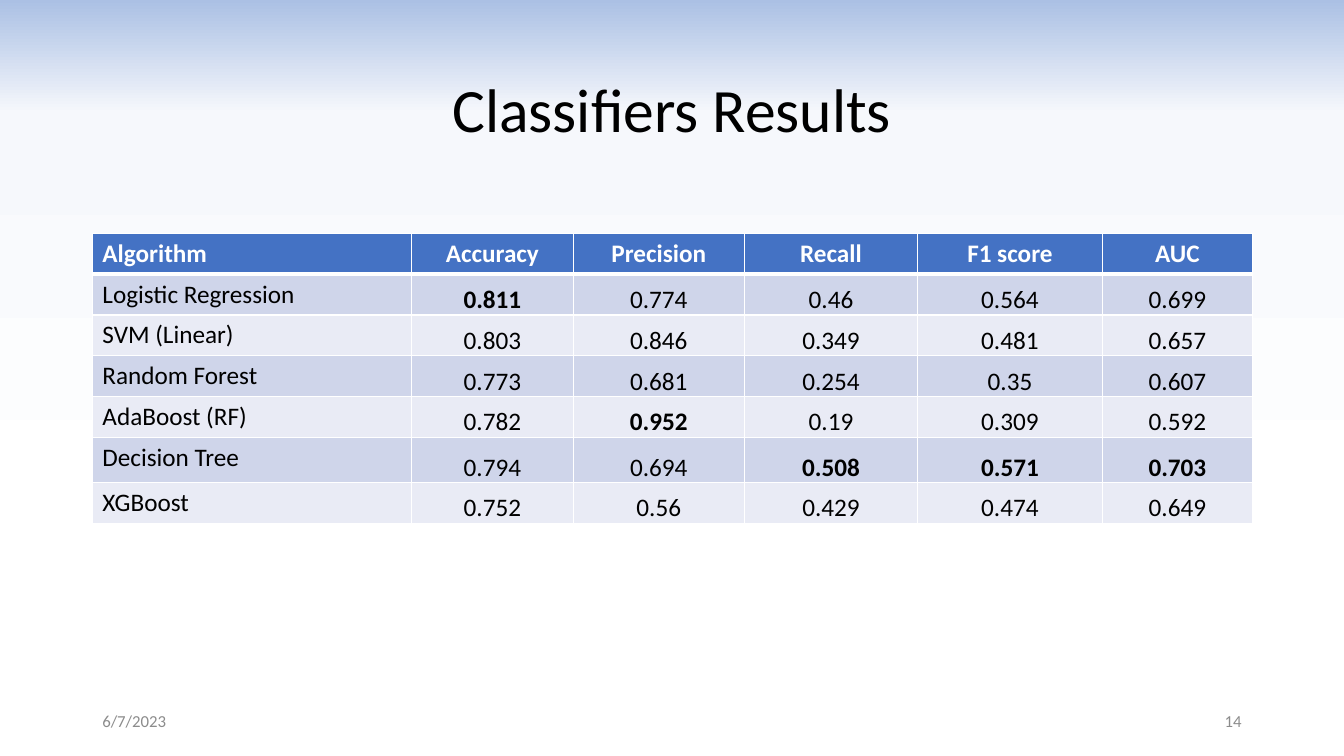
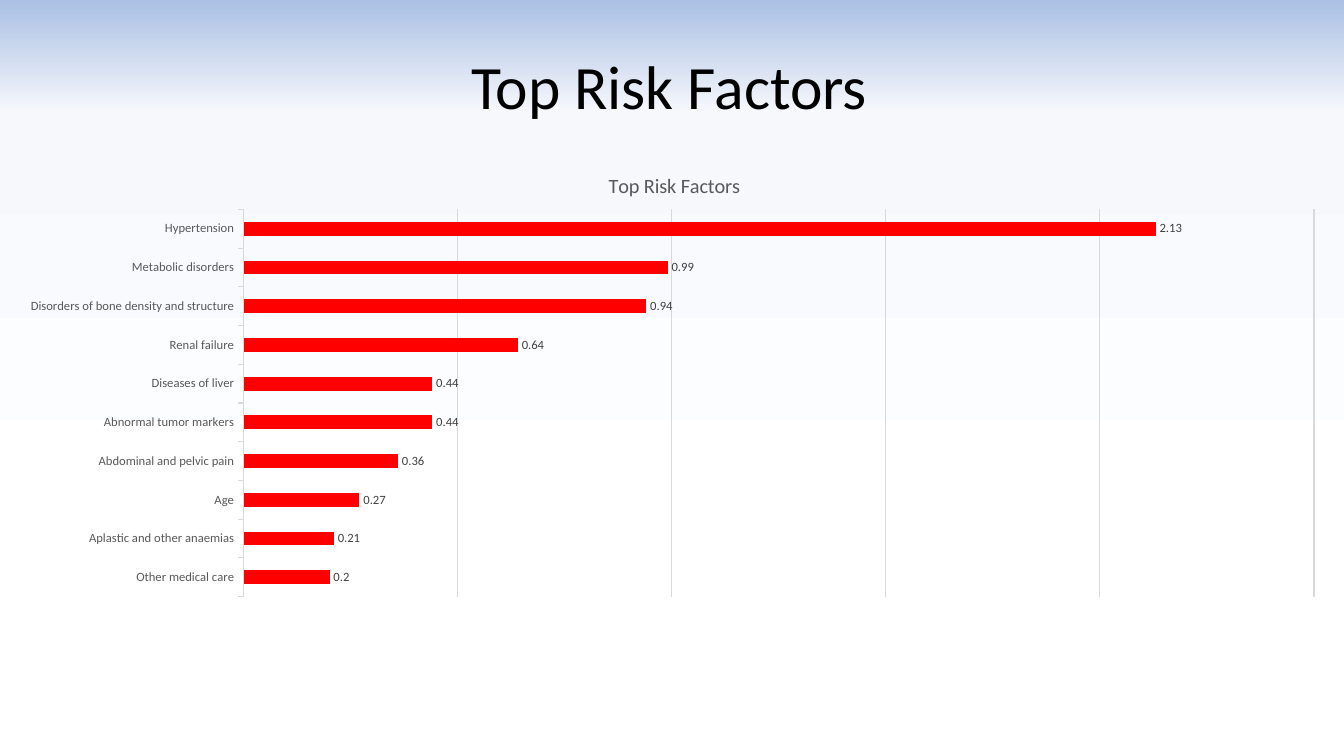
from dataclasses import dataclass

from lxml import etree
from pptx import Presentation
from pptx import util as u
from pptx.chart.data import CategoryChartData
from pptx.dml.color import RGBColor
from pptx.enum import chart as ch
from pptx.enum import text as t
from pptx.oxml.ns import qn

PX = 9525  # EMU in one px
FONT = "Calibri"

BLACK = RGBColor(0x00, 0x00, 0x00)
WHITE = RGBColor(0xFF, 0xFF, 0xFF)
FOOTER_GREY = RGBColor(0x8C, 0x8C, 0x8C)
AXIS_GREY = RGBColor(0x59, 0x59, 0x59)
LABEL_GREY = RGBColor(0x40, 0x40, 0x40)
GRID_GREY = RGBColor(0xD9, 0xD9, 0xD9)
BAR_RED = RGBColor(0xFF, 0x00, 0x00)
HEADER_BLUE = RGBColor(0x44, 0x72, 0xC4)
BAND_DARK = RGBColor(0xCF, 0xD5, 0xEA)
BAND_LIGHT = RGBColor(0xE9, 0xEB, 0xF5)
SKY = RGBColor(0xAB, 0xC0, 0xE4)
HAZE = RGBColor(0xF6, 0xF8, 0xFC)
BACKGROUND_STOPS = ((0, SKY), (15, HAZE), (69, WHITE))

LEFT, CENTER, RIGHT = t.PP_ALIGN.LEFT, t.PP_ALIGN.CENTER, t.PP_ALIGN.RIGHT
TOP, MIDDLE, BOTTOM = t.MSO_ANCHOR.TOP, t.MSO_ANCHOR.MIDDLE, t.MSO_ANCHOR.BOTTOM


@dataclass(frozen=True)
class Box:
    x: int
    y: int
    w: int
    h: int

    def emu(self) -> tuple[int, int, int, int]:
        return self.x * PX, self.y * PX, self.w * PX, self.h * PX


@dataclass(frozen=True)
class Style:
    size: float
    color: RGBColor
    bold: bool = False

    def apply(self, font) -> None:
        font.name, font.size, font.bold = FONT, u.Pt(self.size), self.bold
        font.color.rgb = self.color


@dataclass(frozen=True)
class Result:
    algorithm: str
    scores: tuple[str, ...]
    best: tuple[int, ...] = ()  # positions of the scores in bold
    height: int = 39


@dataclass(frozen=True)
class RiskFactor:
    name: str
    weight: float


TITLE = Style(44, BLACK)
FOOTER = Style(12, FOOTER_GREY)

HEADINGS = ("Algorithm", "Accuracy", "Precision", "Recall", "F1 score", "AUC")
COLUMN_WIDTHS = (304, 154, 163, 165, 176, 143)
RESULTS = (
    Result("Logistic Regression", ("0.811", "0.774", "0.46", "0.564", "0.699"), (0,)),
    Result("SVM (Linear)", ("0.803", "0.846", "0.349", "0.481", "0.657")),
    Result("Random Forest", ("0.773", "0.681", "0.254", "0.35", "0.607")),
    Result("AdaBoost (RF)", ("0.782", "0.952", "0.19", "0.309", "0.592"), (1,)),
    Result("Decision Tree", ("0.794", "0.694", "0.508", "0.571", "0.703"), (2, 3, 4), 43),
    Result("XGBoost", ("0.752", "0.56", "0.429", "0.474", "0.649")),
)
RISK_FACTORS = (
    RiskFactor("Hypertension", 2.13),
    RiskFactor("Metabolic disorders", 0.99),
    RiskFactor("Disorders of bone density and structure", 0.94),
    RiskFactor("Renal failure", 0.64),
    RiskFactor("Diseases of liver", 0.44),
    RiskFactor("Abnormal tumor markers", 0.44),
    RiskFactor("Abdominal and pelvic pain", 0.36),
    RiskFactor("Age", 0.27),
    RiskFactor("Aplastic and other anaemias", 0.21),
    RiskFactor("Other medical care", 0.2),
)


def set_background(master) -> None:
    fill = master.background.fill
    fill.gradient()
    fill.gradient_angle = 270
    stops = next(master.element.iter(qn("a:gsLst")))
    for stop in list(stops):
        stops.remove(stop)
    for percent, color in BACKGROUND_STOPS:
        stop = etree.SubElement(stops, qn("a:gs"), pos=str(percent * 1000))
        etree.SubElement(stop, qn("a:srgbClr"), val=str(color))


def write(tf, text: str, style: Style, align=LEFT):
    p = tf.paragraphs[0]
    p.alignment = align
    r = p.add_run()
    r.text = text
    style.apply(r.font)
    return p


def add_text(slide, box: Box, text: str, style: Style, align=LEFT, anchor=MIDDLE):
    tf = slide.shapes.add_textbox(*box.emu()).text_frame
    tf.word_wrap = True
    tf.vertical_anchor = anchor
    return write(tf, text, style, align)


def set_borders(cell, top: int = 1, bottom: int = 1) -> None:
    """Draw white borders, with widths in points."""
    tc_pr = cell._tc.get_or_add_tcPr()
    for side, width in (("L", 1), ("R", 1), ("T", top), ("B", bottom)):
        ln = etree.SubElement(tc_pr, qn(f"a:ln{side}"), w=str(u.Pt(width)))
        fill = etree.SubElement(ln, qn("a:solidFill"))
        etree.SubElement(fill, qn("a:srgbClr"), val=str(WHITE))


def fill_cell(cell, text: str, style: Style, color: RGBColor, align) -> None:
    cell.fill.solid()
    cell.fill.fore_color.rgb = color
    write(cell.text_frame, text, style, align)


def add_results_table(slide, x: int, y: int) -> None:
    heights = (39, *(result.height for result in RESULTS))
    box = Box(x, y, sum(COLUMN_WIDTHS), sum(heights))
    table = slide.shapes.add_table(len(heights), len(HEADINGS), *box.emu()).table
    for column, width in zip(table.columns, COLUMN_WIDTHS):
        column.width = width * PX
    for row, height in zip(table.rows, heights):
        row.height = height * PX

    for i, heading in enumerate(HEADINGS):
        cell = table.cell(0, i)
        set_borders(cell, bottom=3)
        fill_cell(cell, heading, Style(18, WHITE, True), HEADER_BLUE, CENTER if i else LEFT)

    for j, result in enumerate(RESULTS, 1):
        color = BAND_DARK if j % 2 else BAND_LIGHT
        for i, text in enumerate((result.algorithm, *result.scores)):
            cell = table.cell(j, i)
            set_borders(cell, top=3 if j == 1 else 1)
            style = Style(18, BLACK, i - 1 in result.best)
            fill_cell(cell, text, style, color, CENTER if i else LEFT)
            if i:
                cell.vertical_anchor = BOTTOM
                cell.margin_left = cell.margin_right = cell.margin_top = PX
                cell.margin_bottom = 0


def place(chart, name: str, **fractions: float) -> None:
    """Fix the title or the plot area at fractions of the chart's size."""
    parent = chart.element.find(".//" + qn(f"c:{name}"))
    for old in parent.findall(qn("c:layout")):
        parent.remove(old)
    layout = etree.Element(qn("c:layout"))
    manual = etree.SubElement(layout, qn("c:manualLayout"))
    if name == "plotArea":
        etree.SubElement(manual, qn("c:layoutTarget"), val="inner")
    for key in ("x", "y"):
        etree.SubElement(manual, qn(f"c:{key}Mode"), val="edge")
    for key, value in fractions.items():
        etree.SubElement(manual, qn(f"c:{key}"), val=str(value))
    parent.insert(1 if name == "title" else 0, layout)


def style_line(line) -> None:
    line.color.rgb = GRID_GREY
    line.width = u.Pt(0.75)


def add_risk_chart(slide, box: Box) -> None:
    data = CategoryChartData()
    data.categories = [factor.name for factor in RISK_FACTORS]
    data.add_series("Series 1", [factor.weight for factor in RISK_FACTORS])
    chart = slide.shapes.add_chart(ch.XL_CHART_TYPE.BAR_CLUSTERED, *box.emu(), data).chart
    Style(10, BLACK).apply(chart.font)
    chart.has_legend = False
    chart.has_title = True
    write(chart.chart_title.text_frame, "Top Risk Factors", Style(14.5, AXIS_GREY), CENTER)
    place(chart, "title", x=0.45, y=0.04)
    place(chart, "plotArea", x=0.18, y=0.13, w=0.8, h=0.85)

    names = chart.category_axis
    names.reverse_order = True
    names.major_tick_mark = ch.XL_TICK_MARK.OUTSIDE
    Style(9, AXIS_GREY).apply(names.tick_labels.font)
    style_line(names.format.line)

    weights = chart.value_axis
    weights.minimum_scale, weights.maximum_scale, weights.major_unit = 0, 2.5, 0.5
    weights.has_major_gridlines = True
    style_line(weights.major_gridlines.format.line)
    weights.visible = False

    plot = chart.plots[0]
    plot.gap_width = 182
    plot.vary_by_categories = False
    bars = plot.series[0]
    bars.format.fill.solid()
    bars.format.fill.fore_color.rgb = BAR_RED
    labels = bars.data_labels
    labels.show_value = True
    labels.position = ch.XL_LABEL_POSITION.OUTSIDE_END
    Style(9, LABEL_GREY).apply(labels.font)


def build_results(slide) -> None:
    title = add_text(slide, Box(88, 38, 1104, 139), "Classifiers Results", TITLE, CENTER)
    title.line_spacing = 0.9
    add_text(slide, Box(88, 667, 288, 38), "6/7/2023", FOOTER)
    add_text(slide, Box(904, 667, 288, 38), "14", FOOTER, RIGHT)
    add_results_table(slide, 88, 222)


def build_risk_factors(slide) -> None:
    add_risk_chart(slide, Box(3, 143, 1274, 434))
    add_text(slide, Box(96, 41, 1083, 81), "Top Risk Factors", TITLE, CENTER, TOP)


def main() -> None:
    prs = Presentation()
    prs.slide_width, prs.slide_height = 1280 * PX, 720 * PX
    set_background(prs.slide_master)
    for build in (build_results, build_risk_factors):
        build(prs.slides.add_slide(prs.slide_layouts[6]))
    prs.save("out.pptx")


if __name__ == "__main__":
    main()
